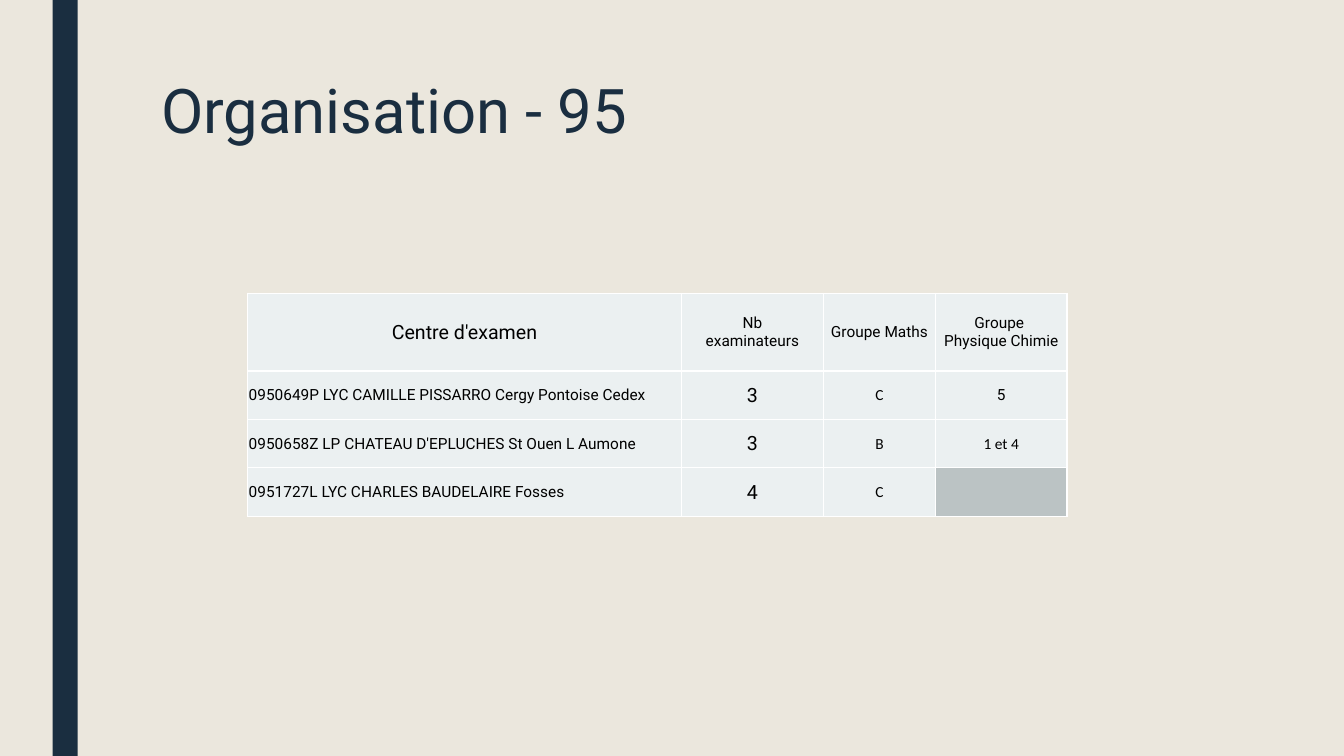
import copy

import lxml.etree
import pptx
import pptx.dml.color
import pptx.enum.shapes
import pptx.enum.text
import pptx.oxml.ns
import pptx.util

Pt = pptx.util.Pt
ALIGN = pptx.enum.text.PP_ALIGN
ANCHOR = pptx.enum.text.MSO_ANCHOR
qn = pptx.oxml.ns.qn

NAVY = "1A2E40"


def color(hex_code):
    return pptx.dml.color.RGBColor.from_string(hex_code)


def format_runs(paragraph, size, name, hex_code):
    for run in paragraph.runs:
        for key, value in {"size": Pt(size), "name": name}.items():
            setattr(run.font, key, value)
        run.font.color.rgb = color(hex_code)
    # Line breaks take the format of the text around them
    for line_break in paragraph._p.findall(qn("a:br")):
        line_break.insert(0, copy.deepcopy(paragraph.runs[0]._r.rPr))


presentation = pptx.Presentation()
presentation.slide_width = Pt(960)
presentation.slide_height = Pt(540)
slide = presentation.slides.add_slide(presentation.slide_layouts[5])

# Background and side bar
slide.background.fill.solid()
slide.background.fill.fore_color.rgb = color("EBE7DD")
bar = slide.shapes.add_shape(
    pptx.enum.shapes.MSO_SHAPE.RECTANGLE, Pt(37.5), 0, Pt(18), Pt(540))
bar.shadow.inherit = False
bar.fill.solid()
bar.fill.fore_color.rgb = color(NAVY)
bar.line.fill.background()

# Title
title = slide.shapes.title
for key, value in {"left": 108, "top": 54, "width": 756, "height": 117}.items():
    setattr(title, key, Pt(value))
title.text_frame.text = "Organisation - 95"
title.text_frame.vertical_anchor = ANCHOR.TOP
title.text_frame.auto_size = pptx.enum.text.MSO_AUTO_SIZE.NONE
title_paragraph = title.text_frame.paragraphs[0]
title_paragraph.alignment = ALIGN.LEFT
title_paragraph.line_spacing = 0.89
format_runs(title_paragraph, 44, "Roboto", NAVY)

# Exam centres: text, size and font of each cell
rows = [
    [("Centre d'examen", 14, "Roboto"), ("Nb\vexaminateurs", 11, "Roboto"),
     ("Groupe Maths", 11, "Roboto"), ("Groupe \vPhysique Chimie", 11, "Roboto")],
    [("0950649P LYC CAMILLE PISSARRO Cergy Pontoise Cedex", 11, "Roboto"),
     ("3", 14, "Roboto"), ("C", 11, "Calibri"), ("5", 11, "Roboto")],
    [("0950658Z LP CHATEAU D'EPLUCHES St Ouen L Aumone", 11, "Roboto"),
     ("3", 14, "Roboto"), ("B", 11, "Calibri"), ("1 et 4", 11, "Calibri")],
    [("0951727L LYC CHARLES BAUDELAIRE Fosses", 11, "Roboto"),
     ("4", 14, "Roboto"), ("C", 11, "Calibri"), ("", 11, "Roboto")],
]
column_widths = [309.75, 101.5, 80, 94]
row_heights = [55.5, 34.6, 34.6, 34.6]
table = slide.shapes.add_table(
    len(rows), len(column_widths), Pt(177), Pt(209.5),
    Pt(sum(column_widths)), Pt(sum(row_heights))).table
table.first_row = False
table.horz_banding = False
for column, width in zip(table.columns, column_widths):
    column.width = Pt(width)
for row, height in zip(table.rows, row_heights):
    row.height = Pt(height)

cell_format = {
    "margin_left": Pt(0.7), "margin_top": Pt(0.7), "margin_right": Pt(0.7),
    "margin_bottom": 0, "vertical_anchor": ANCHOR.MIDDLE,
}
for row_index, row in enumerate(rows):
    for column_index, (text, size, font_name) in enumerate(row):
        cell = table.cell(row_index, column_index)
        for key, value in cell_format.items():
            setattr(cell, key, value)
        paragraph = cell.text_frame.paragraphs[0]
        if text:
            paragraph.text = text
        is_centre_name = row_index > 0 and column_index == 0
        paragraph.alignment = ALIGN.LEFT if is_centre_name else ALIGN.CENTER
        format_runs(paragraph, size, font_name, "000000")

        # White borders come before the fill in the cell properties
        properties = cell._tc.get_or_add_tcPr()
        for side in ("a:lnL", "a:lnR", "a:lnT", "a:lnB"):
            border = lxml.etree.SubElement(properties, qn(side), w=str(Pt(1)))
            border_fill = lxml.etree.SubElement(border, qn("a:solidFill"))
            lxml.etree.SubElement(border_fill, qn("a:srgbClr"), val="FFFFFF")
        cell.fill.solid()
        cell.fill.fore_color.rgb = color("EBF0F1" if text else "BBC3C4")

presentation.save("out.pptx")
